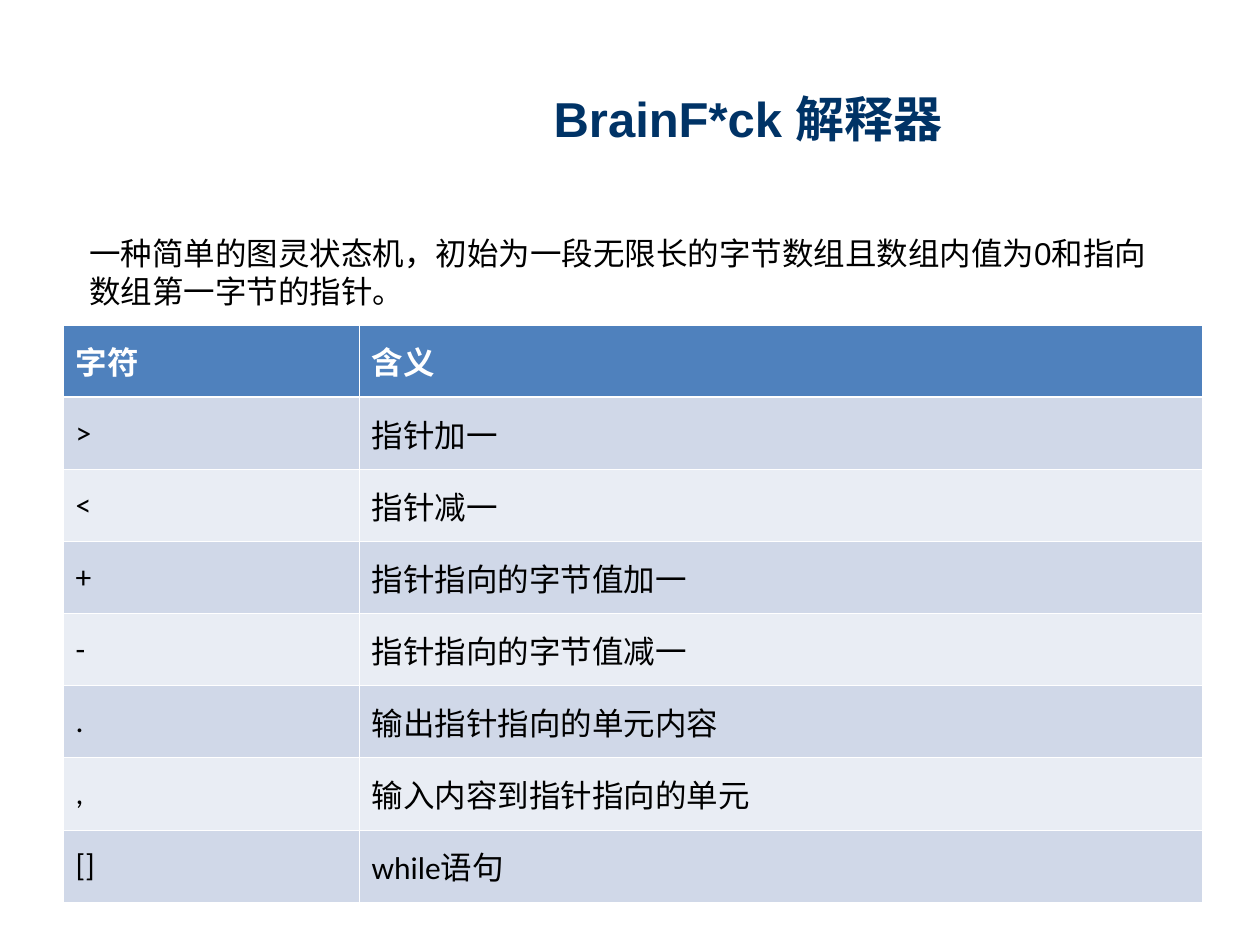
import dataclasses

import lxml.etree
import pptx
import pptx.dml.color
import pptx.enum.text
import pptx.oxml.ns
import pptx.util

Inches = pptx.util.Inches
Pt = pptx.util.Pt
Align = pptx.enum.text.PP_ALIGN
Anchor = pptx.enum.text.MSO_ANCHOR

WHITE = "FFFFFF"
BLACK = "000000"
NAVY = "003366"
HEADER_FILL = "4F81BD"
BAND_FILLS = ("E9EDF4", "D0D8E8")
THIN, THICK = 0.45, 1.47


@dataclasses.dataclass
class Command:
    symbol: str
    meaning: str


HEADER = Command("字符", "含义")
COMMANDS = [
    Command(">", "指针加一"),
    Command("<", "指针减一"),
    Command("+", "指针指向的字节值加一"),
    Command("-", "指针指向的字节值减一"),
    Command(".", "输出指针指向的单元内容"),
    Command(",", "输入内容到指针指向的单元"),
    Command("[]", "while语句"),
]


def rgb(value: str) -> pptx.dml.color.RGBColor:
    return pptx.dml.color.RGBColor.from_string(value)


def write(frame, text: str, *, size: float = 18, font: str = "Arial",
          color: str = BLACK, bold: bool = False, align=Align.LEFT) -> None:
    frame.word_wrap = True
    para = frame.paragraphs[0]
    para.alignment = align
    span = para.add_run()
    span.text = text
    span.font.size = Pt(size)
    span.font.name = font
    span.font.bold = bold
    span.font.color.rgb = rgb(color)


def place(box, left: float, top: float, width: float, height: float) -> None:
    box.left, box.top = Inches(left), Inches(top)
    box.width, box.height = Inches(width), Inches(height)


def add_border(cell, side: str, width: float) -> None:
    """Draw a white line on one side (L, R, T or B) of the cell."""
    qn = pptx.oxml.ns.qn
    line = lxml.etree.SubElement(cell._tc.get_or_add_tcPr(), qn(f"a:ln{side}"),
                                 w=str(int(Pt(width))))
    fill = lxml.etree.SubElement(line, qn("a:solidFill"))
    lxml.etree.SubElement(fill, qn("a:srgbClr"), val=WHITE)


def format_cell(cell, text: str, row: int) -> None:
    is_header = row == 0
    widths = {"L": THIN, "R": THIN,
              "T": THICK if row == 1 else THIN,
              "B": THICK if is_header else THIN}
    for side, width in widths.items():
        add_border(cell, side, width)
    cell.fill.solid()
    cell.fill.fore_color.rgb = rgb(HEADER_FILL if is_header else BAND_FILLS[row % 2])
    cell.vertical_anchor = Anchor.MIDDLE
    write(cell.text_frame, text, font="Calibri", bold=is_header,
          color=WHITE if is_header else BLACK)


def add_command_table(page, commands: list[Command]) -> None:
    widths = (2.35, 6.69)
    height = Inches(4.58)
    table = page.shapes.add_table(len(commands), len(widths), Inches(0.5), Inches(2.58),
                                  Inches(sum(widths)), height).table
    for column, width in zip(table.columns, widths):
        column.width = Inches(width)
    for row, command in enumerate(commands):
        table.rows[row].height = height // len(commands)
        for column, text in enumerate((command.symbol, command.meaning)):
            format_cell(table.cell(row, column), text, row)


def main() -> None:
    deck = pptx.Presentation()
    deck.slide_width, deck.slide_height = Inches(10), Inches(7.5)
    page = deck.slides.add_slide(deck.slide_layouts[5])

    title = page.shapes.title
    place(title, 0.58, 0.67, 7, 0.53)
    title.text_frame.vertical_anchor = Anchor.MIDDLE
    write(title.text_frame, "BrainF*ck 解释器", size=28, color=NAVY, bold=True,
          align=Align.RIGHT)

    add_command_table(page, [HEADER, *COMMANDS])

    summary = page.shapes.add_textbox(0, 0, 0, 0)
    place(summary, 0.61, 1.81, 8.81, 0.7)
    write(summary.text_frame,
          "一种简单的图灵状态机，初始为一段无限长的字节数组且数组内值为0和指向数组第一字节的指针。")

    deck.save("out.pptx")


if __name__ == "__main__":
    main()
